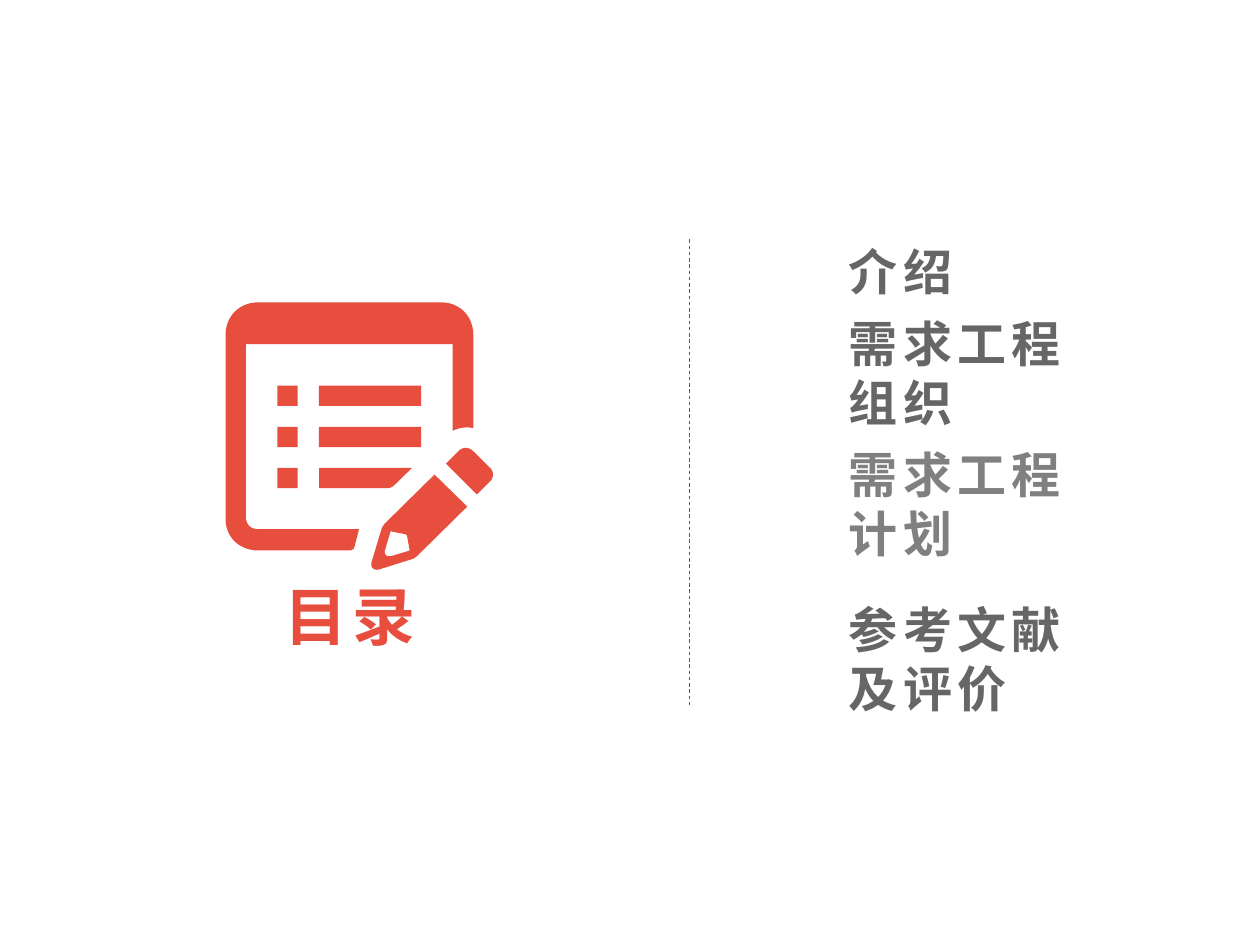
from dataclasses import dataclass

from lxml import etree
from pptx import Presentation
from pptx import util as u
from pptx.dml.color import RGBColor
from pptx.enum import dml, shapes, text
from pptx.oxml import ns


@dataclass(frozen=True)
class Theme:
    font: str = "Noto Sans CJK SC"
    accent: str = "E74E3E"
    dark: str = "666666"
    muted: str = "808080"
    rule: str = "0174AB"
    title_size: int = 36
    item_size: int = 28
    spacing: int = 3
    rule_width: float = 0.5


class Painter:
    def __init__(self, theme, page):
        self.theme = theme
        self.page = page

    def text(self, left, top, width, height, words, size, color, align=text.PP_ALIGN.LEFT):
        box = self.page.shapes.add_textbox(u.Pt(left), u.Pt(top), u.Pt(width), u.Pt(height))
        frame = box.text_frame
        frame.word_wrap = True
        frame.auto_size = text.MSO_AUTO_SIZE.SHAPE_TO_FIT_TEXT
        para = frame.paragraphs[0]
        para.alignment = align
        span = para.add_run()
        span.text = words
        span.font.name = self.theme.font
        span.font.size = u.Pt(size)
        span.font.bold = True
        span.font.color.rgb = RGBColor.from_string(color)
        properties = span._r.get_or_add_rPr()
        properties.set("spc", str(self.theme.spacing * 100))
        etree.SubElement(properties, ns.qn("a:ea"), typeface=self.theme.font)

    def dashed_rule(self, x, top, bottom):
        rule = self.page.shapes.add_connector(
            shapes.MSO_CONNECTOR.STRAIGHT, u.Pt(x), u.Pt(top), u.Pt(x), u.Pt(bottom))
        rule.line.color.rgb = RGBColor.from_string(self.theme.rule)
        rule.line.width = u.Pt(self.theme.rule_width)
        rule.line.dash_style = dml.MSO_LINE.DASH
        etree.SubElement(rule._element.spPr, ns.qn("a:effectLst"))

    def group(self):
        return self.page.shapes.add_group_shape()

    def paint(self, shape):
        shape.shadow.inherit = False
        shape.fill.solid()
        shape.fill.fore_color.rgb = RGBColor.from_string(self.theme.accent)
        shape.line.fill.background()

    def bar(self, group, left, top, width, height):
        self.paint(group.shapes.add_shape(
            shapes.MSO_SHAPE.RECTANGLE, u.Pt(left), u.Pt(top), u.Pt(width), u.Pt(height)))

    def outline(self, group, *contours):
        builder = None
        for contour in contours:
            points = [(u.Pt(x), u.Pt(y)) for x, y in flatten(contour)]
            if builder is None:
                builder = group.shapes.build_freeform(*points[0])
            else:
                builder.move_to(*points[0])
            builder.add_line_segments(points[1:], close=True)
        self.paint(builder.convert_to_shape())


def flatten(contour, steps=12):
    points = []
    for node in contour:
        if len(node) == 2:
            points.append(node)
            continue
        x0, y0 = points[-1]
        x1, y1, x2, y2, x3, y3 = node
        for step in range(1, steps + 1):
            t = step / steps
            s = 1 - t
            a, b, c, d = s**3, 3 * s * s * t, 3 * s * t * t, t**3
            points.append((a * x0 + b * x1 + c * x2 + d * x3,
                           a * y0 + b * y1 + c * y2 + d * y3))
    return points


FRAME = [
    (205.2, 302.4), (202.3, 313.5), (200.5, 314.6), (147.6, 314.6),
    (136.8, 314.6, 128.9, 307, 128.9, 296.6), (128.9, 191.5),
    (128.9, 180.7, 136.8, 172.8, 147.6, 172.8), (252, 172.8),
    (262.8, 172.8, 270.5, 180.7, 270.5, 191.5), (270.5, 244.6),
    (266.4, 244, 262.8, 244.2, 258.7, 246.2), (258.7, 196.7),
    (140.5, 196.7), (140.5, 295.2), (140.5, 299.5, 142.9, 302.4, 147.6, 302.4),
]
PENCIL = [
    (248.3, 271.2), (267, 289.5), (238.3, 317.8), (236.2, 319.3), (216.7, 325.4),
    (214, 326.2, 211.3, 324.5, 212.4, 321.1), (218.2, 301.7), (219.6, 299.5),
]
PENCIL_TIP = [
    (223.2, 303.6), (219.8, 315.2), (220, 318, 222, 318.2, 224.6, 317.5),
    (234.1, 314.6), (232.6, 306), (231.8, 305.3),
]
ERASER = [
    (254.9, 265), (262.1, 257.8), (264.2, 255.4, 268, 255.4, 270.4, 257.8),
    (279.8, 267.1), (282.4, 269.5, 282.4, 272.9, 280, 275.2), (272.6, 282.6),
]
CUT_BAR = [(182.3, 267.4), (235.4, 267.4), (224.8, 277.8), (222.5, 279), (182.3, 279)]


def main():
    theme = Theme()
    deck = Presentation()
    deck.slide_width, deck.slide_height = u.Pt(720), u.Pt(540)
    painter = Painter(theme, deck.slides.add_slide(deck.slide_layouts[6]))

    painter.dashed_rule(393.9, 136.8, 403.2)

    items = [
        (134.6, 141, 41, "介绍", theme.dark),
        (175.7, 152, 75, "需求工程组织", theme.dark),
        (250.6, 152, 75, "需求工程计划", theme.muted),
        (339.1, 141, 75, "参考文献及评价", theme.dark),
    ]
    for top, width, height, words, color in items:
        painter.text(478, top, width, height, words, theme.item_size, color)

    icon = painter.group()
    painter.outline(icon, FRAME)
    painter.outline(icon, PENCIL, PENCIL_TIP)
    painter.outline(icon, ERASER)
    painter.outline(icon, CUT_BAR)
    side, first_row, pitch = 11.6, 220.4, 23.5
    for row in range(3):
        painter.bar(icon, 158.5, first_row + row * pitch, side, side)
    for row in range(2):
        painter.bar(icon, 182.3, first_row + row * pitch, 58.4, side)

    painter.text(100.8, 326.2, 198.7, 51, "目录", theme.title_size, theme.accent,
                 text.PP_ALIGN.CENTER)
    deck.save("out.pptx")


if __name__ == "__main__":
    main()
